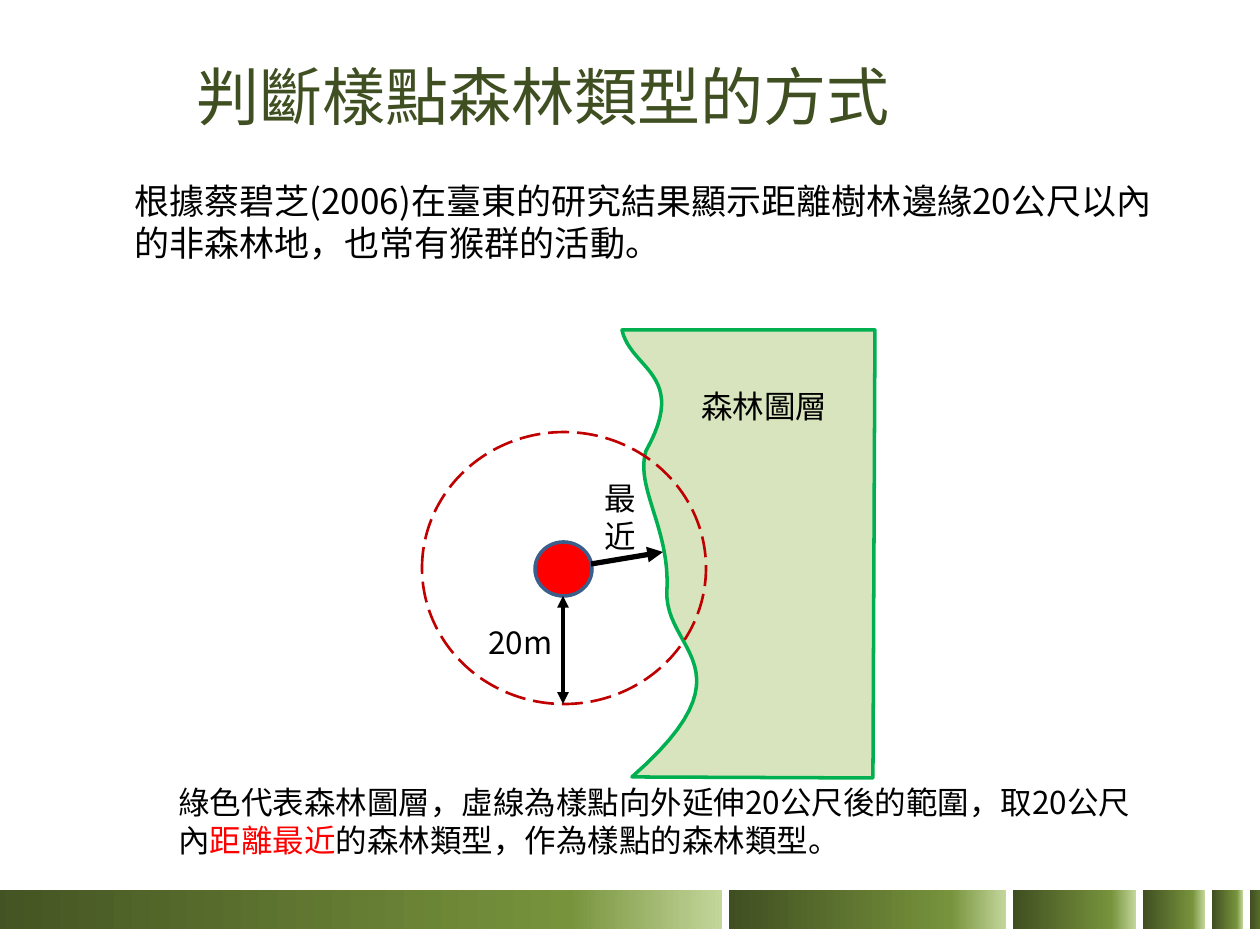
import copy

import pptx
import pptx.dml.color
import pptx.enum.dml
import pptx.enum.shapes
import pptx.enum.text
import pptx.oxml
import pptx.oxml.ns
import pptx.util

PX = 914400 / 126
FONT = "Noto Sans CJK SC"
COLORS = {
    "dark": "404F21", "olive": "77933C", "light": "C3D69B", "forest": "D7E4BD",
    "edge": "00B050", "range": "C00000", "point": "FF0000", "rim": "3A5F8C",
    "black": "000000",
}

# Footer bars: left to right, with one gap between them
BAR_TOP, BAR_HEIGHT, BAR_START, BAR_GAP = 890, 39, -49, 7
BAR_WIDTHS = [771, 277, 123, 62, 31, 30]
BAR_STOPS = [(0, "dark"), (0.8, "olive"), (1, "light")]

# Texts: box, size, wrap, anchor, paragraphs of (text, colour) runs
TEXTS = [
    ((184, 16, 1060, 158), 36, True, "MIDDLE", [[("判斷樣點森林類型的方式", "dark")]]),
    ((166, 777, 985, 89), 18, True, "TOP", [[
        ("綠色代表森林圖層，虛線為樣點向外延伸20公尺後的範圍，取20公尺內", "black"),
        ("距離最近", "point"),
        ("的森林類型，作為樣點的森林類型。", "black")]]),
    ((122, 173, 1043, 97), 20, True, "TOP", [[
        ("根據蔡碧芝(2006)在臺東的研究結果顯示距離樹林邊緣20公尺以內的非森林地，"
         "也常有猴群的活動。", "black")]]),
    ((476, 617, 92, 50), 18, False, "TOP", [[("20m", "black")]]),
    ((689, 381, 152, 50), 18, False, "TOP", [[("森林圖層", "black")]]),
    ((592, 473, 57, 89), 18, False, "TOP", [[("最", "black")], [("近", "black")]]),
]

# Forest outline: straight corners, then curves (control, control, end)
FOREST_CORNERS = [(622, 330), (875, 330), (873, 778), (632, 777)]
FOREST_CURVES = [
    [(756, 668), (663, 651), (667, 590)],
    [(670, 528), (635, 488), (646, 451)],
    [(689, 374), (631, 370), (622, 330)],
]
CURVE_STEPS = 24

# Circles: box, fill, line, line width, dash
CIRCLES = [
    ((422, 432, 284, 272), None, "range", 1.5, "LONG_DASH"),
    ((535, 542, 57, 54), "point", "rim", 2, None),
]

# Arrows: from, to, width, arrowheads
ARROWS = [
    ((563, 596), (563, 704), 2.25, ["headEnd", "tailEnd"]),
    ((591, 564), (663, 552), 3, ["tailEnd"]),
]


def emu(*values):
    return [round(v * PX) for v in values]


def rgb(name):
    return pptx.dml.color.RGBColor.from_string(COLORS[name])


def style(sp, fill, line, width):
    sp.shadow.inherit = False
    if fill:
        sp.fill.solid()
        sp.fill.fore_color.rgb = rgb(fill)
    else:
        sp.fill.background()
    sp.line.color.rgb = rgb(line)
    sp.line.width = pptx.util.Pt(width)


def bezier(start, c1, c2, end):
    for step in range(1, CURVE_STEPS + 1):
        t = step / CURVE_STEPS
        u = 1 - t
        yield tuple(u**3 * a + 3 * u * u * t * b + 3 * u * t * t * c + t**3 * d
                    for a, b, c, d in zip(start, c1, c2, end))


def add_bar(shapes, left, width):
    sp = shapes.add_shape(pptx.enum.shapes.MSO_SHAPE.RECTANGLE,
                          *emu(left, BAR_TOP, width, BAR_HEIGHT))
    sp.shadow.inherit = False
    sp.line.fill.background()
    sp.fill.gradient()
    sp.fill.gradient_angle = 0
    stops = sp._element.spPr.find(".//" + pptx.oxml.ns.qn("a:gsLst"))
    stops.append(copy.deepcopy(stops[0]))
    for stop, (position, color) in zip(sp.fill.gradient_stops, BAR_STOPS):
        stop.position = position
        stop.color.rgb = rgb(color)


def add_forest(shapes):
    points = list(FOREST_CORNERS)
    for curve in FOREST_CURVES:
        points += list(bezier(points[-1], *curve))
    builder = shapes.build_freeform(*emu(*points[0]))
    builder.add_line_segments([emu(*p) for p in points[1:-1]], close=True)
    style(builder.convert_to_shape(), "forest", "edge", 2)


def add_circle(shapes, box, fill, line, width, dash):
    sp = shapes.add_shape(pptx.enum.shapes.MSO_SHAPE.FLOWCHART_CONNECTOR, *emu(*box))
    style(sp, fill, line, width)
    if dash:
        sp.line.dash_style = pptx.enum.dml.MSO_LINE[dash]


def add_arrow(shapes, start, end, width, heads):
    sp = shapes.add_connector(pptx.enum.shapes.MSO_CONNECTOR.STRAIGHT, *emu(*start, *end))
    sp.line.color.rgb = rgb("black")
    sp.line.width = pptx.util.Pt(width)
    ln = sp.line._get_or_add_ln()
    for head in heads:
        ln.append(pptx.oxml.parse_xml(
            f'<a:{head} {pptx.oxml.ns.nsdecls("a")} type="triangle"/>'))
    sp._element.spPr.append(pptx.oxml.parse_xml(
        f'<a:effectLst {pptx.oxml.ns.nsdecls("a")}/>'))


def add_text(shapes, box, size, wrap, anchor, paragraphs):
    tf = shapes.add_textbox(*emu(*box)).text_frame
    tf.word_wrap = wrap
    tf.vertical_anchor = pptx.enum.text.MSO_ANCHOR[anchor]
    for i, runs in enumerate(paragraphs):
        p = tf.add_paragraph() if i else tf.paragraphs[0]
        for text, color in runs:
            r = p.add_run()
            r.text = text
            r.font.size = pptx.util.Pt(size)
            r.font.name = FONT
            r.font.color.rgb = rgb(color)
            ea = pptx.oxml.parse_xml(
                f'<a:ea {pptx.oxml.ns.nsdecls("a")} typeface="{FONT}"/>')
            r.font._element.find(pptx.oxml.ns.qn("a:latin")).addnext(ea)


def main():
    prs = pptx.Presentation()
    prs.slide_width, prs.slide_height = emu(1260, 945)
    s = prs.slides.add_slide(prs.slide_layouts[6])

    # Footer
    left = BAR_START
    for width in BAR_WIDTHS:
        add_bar(s.shapes, left, width)
        left += width + BAR_GAP

    # Diagram
    add_forest(s.shapes)
    for circle in CIRCLES:
        add_circle(s.shapes, *circle)
    for arrow in ARROWS:
        add_arrow(s.shapes, *arrow)

    # Title, paragraphs and labels
    for text in TEXTS:
        add_text(s.shapes, *text)

    prs.save("out.pptx")


if __name__ == "__main__":
    main()
